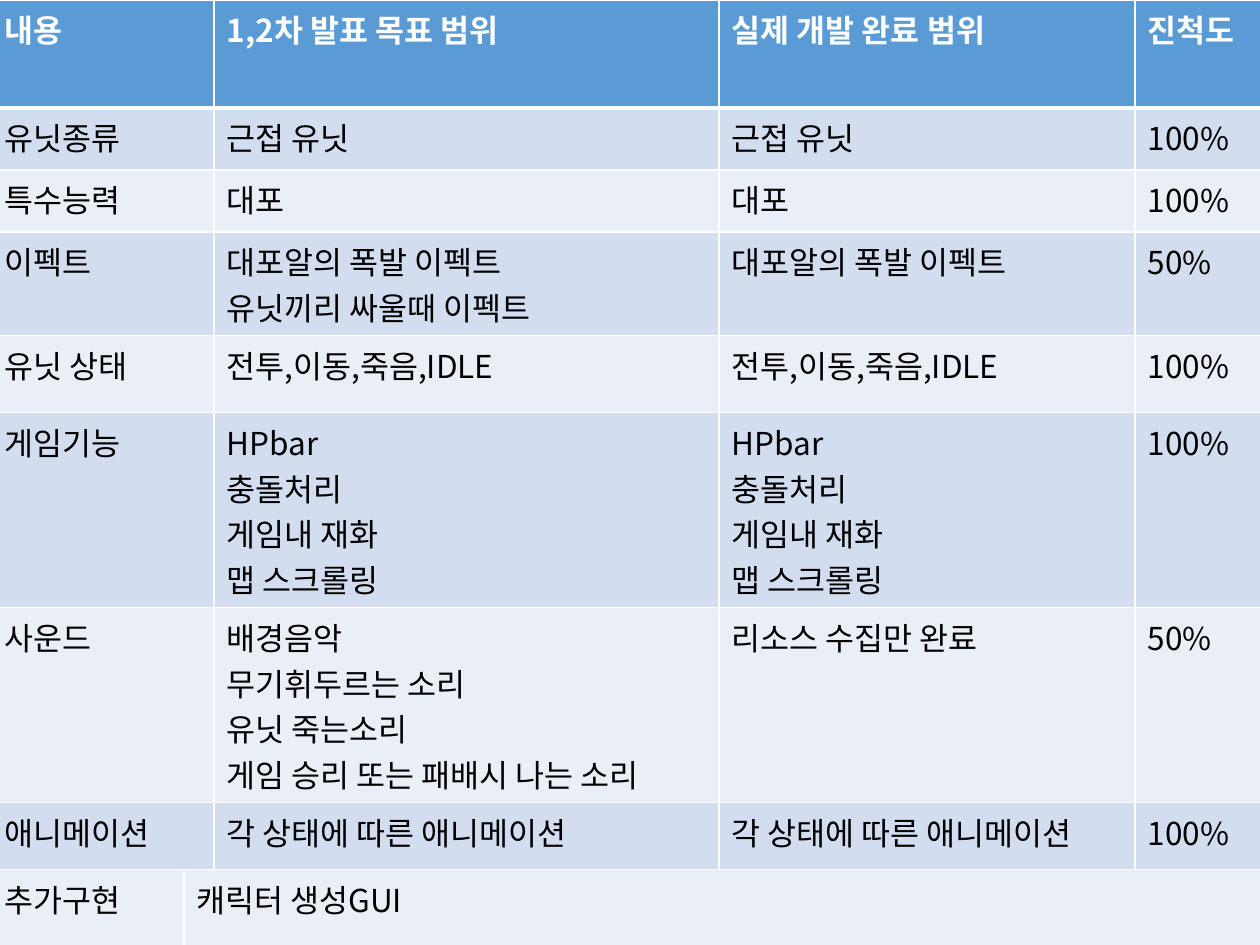
import pptx
import pptx.util
import pptx.dml.color
import pptx.oxml.ns
from lxml import etree

PX = 914400 // 126
FONT = "Noto Sans CJK KR"
COLORS = {"header": "5B9BD5", "odd": "D2DEEF", "even": "EAEFF7",
          "text": "000000", "white": "FFFFFF"}
qn = pptx.oxml.ns.qn


def rgb(name):
    return pptx.dml.color.RGBColor.from_string(COLORS[name])


def set_borders(cell, bottom):
    """White lines on all sides, ahead of the cell fill."""
    tcPr = cell._tc.get_or_add_tcPr()
    for i, (side, width) in enumerate((("lnL", 1), ("lnR", 1), ("lnT", 1), ("lnB", bottom))):
        ln = etree.Element(qn("a:" + side), w=str(pptx.util.Pt(width)))
        fill = etree.SubElement(ln, qn("a:solidFill"))
        etree.SubElement(fill, qn("a:srgbClr"), val=COLORS["white"])
        tcPr.insert(i, ln)


# Slide
prs = pptx.Presentation()
prs.slide_width = pptx.util.Inches(10)
prs.slide_height = pptx.util.Inches(7.5)
s = prs.slides.add_slide(prs.slide_layouts[6])

# Topic, planned scope, finished scope, progress
states = "전투,이동,죽음,IDLE"
features = "HPbar\n충돌처리\n게임내 재화\n맵 스크롤링"
sounds = "배경음악\n무기휘두르는 소리\n유닛 죽는소리\n게임 승리 또는 패배시 나는 소리"
motion = "각 상태에 따른 애니메이션"
rows = [
    ("내용", "1,2차 발표 목표 범위", "실제 개발 완료 범위", "진척도"),
    ("유닛종류", "근접 유닛", "근접 유닛", "100%"),
    ("특수능력", "대포", "대포", "100%"),
    ("이펙트", "대포알의 폭발 이펙트\n유닛끼리 싸울때 이펙트", "대포알의 폭발 이펙트", "50%"),
    ("유닛 상태", states, states, "100%"),
    ("게임기능", features, features, "100%"),
    ("사운드", sounds, "리소스 수집만 완료", "50%"),
    ("애니메이션", motion, motion, "100%"),
    ("추가구현", "캐릭터 생성GUI"),
]
col_widths = [192, 1, 505, 416, 152]
row_heights = [108, 62, 62, 103, 77, 175, 174, 67, 121]

# Table grid
table = s.shapes.add_table(len(rows), len(col_widths), -8 * PX, 0,
                           sum(col_widths) * PX, sum(row_heights) * PX).table
for col, width in zip(table.columns, col_widths):
    col.width = width * PX
for row, height in zip(table.rows, row_heights):
    row.height = height * PX

# Fills and borders
for i, row in enumerate(table.rows):
    band = "header" if i == 0 else "odd" if i % 2 else "even"
    for cell in row.cells:
        cell.fill.solid()
        cell.fill.fore_color.rgb = rgb(band)
        set_borders(cell, 3 if i == 0 else 1)

# Merges and text: the last row splits after the first column
for i, texts in enumerate(rows):
    last = i == len(rows) - 1
    first, end = (1, 4) if last else (0, 1)
    table.cell(i, first).merge(table.cell(i, end))
    for j, text in zip((0, 1) if last else (0, 2, 3, 4), texts):
        tf = table.cell(i, j).text_frame
        for k, line in enumerate(text.split("\n")):
            p = tf.add_paragraph() if k else tf.paragraphs[0]
            r = p.add_run()
            r.text = line
            r.font.size = pptx.util.Pt(18)
            r.font.bold = i == 0
            r.font.color.rgb = rgb("text" if i else "white")
            r.font.name = FONT
            etree.SubElement(r.font._element, qn("a:ea"), typeface=FONT)

prs.save("out.pptx")
